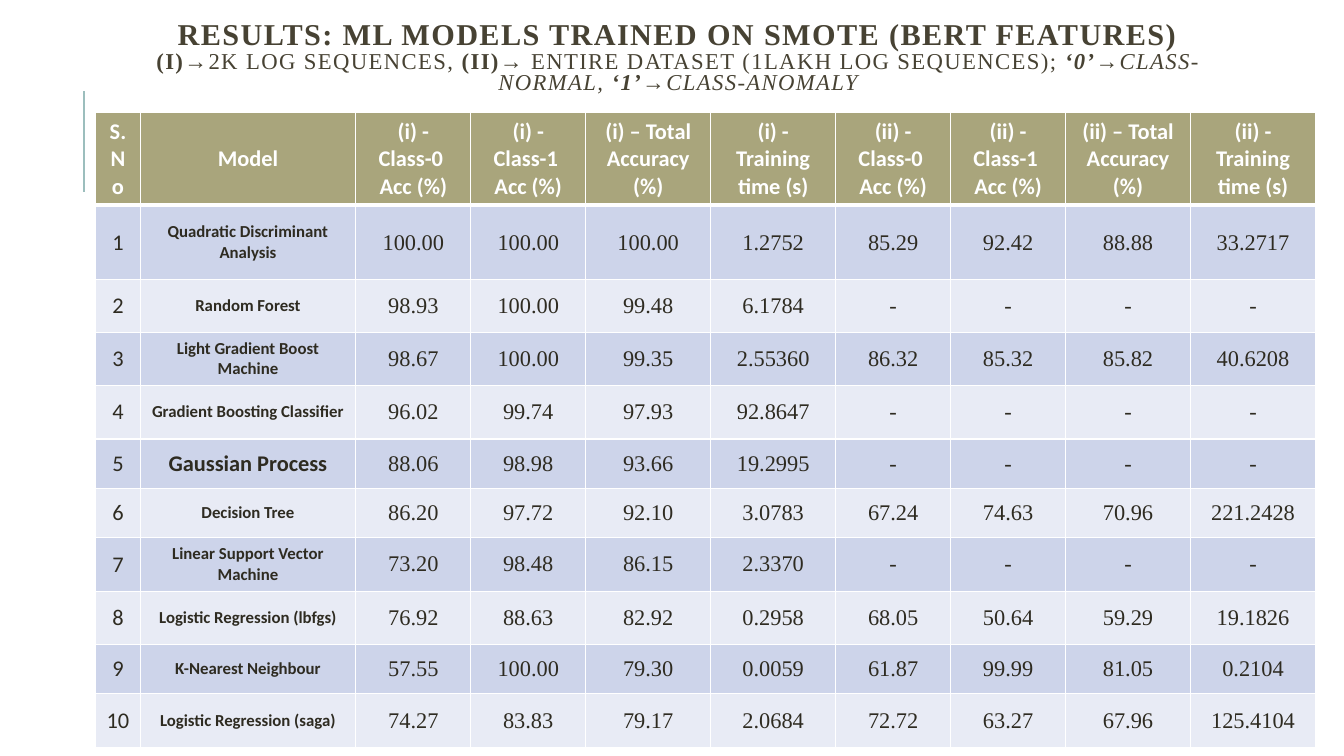
"""Builds the slide of results for models trained on SMOTE data."""
from dataclasses import dataclass
from typing import Any

from lxml.etree import SubElement
from pptx import Presentation
from pptx.dml.color import RGBColor
from pptx.enum.shapes import MSO_CONNECTOR
from pptx.enum.text import MSO_ANCHOR, MSO_AUTO_SIZE, PP_ALIGN
from pptx.oxml.ns import qn
from pptx.util import Inches, Pt

COLORS = {
    "title": "474233", "rule": "9CBEBD", "head": "A9A57C", "white": "FFFFFF",
    "body": "2E2B21", "odd": "CDD4EA", "even": "E8EBF5",
}
SERIF, SANS = "Times New Roman", "Calibri"


@dataclass
class TitleRun:
    """One run of the title and its emphasis."""
    text: str
    size: float = 16.2
    bold: bool = False
    italic: bool = False


@dataclass
class Style:
    """The font of a table cell."""
    name: str
    size: float
    bold: bool
    color: str = "body"


@dataclass
class Model:
    """One table row: a model and its eight results."""
    name: str
    results: str
    size: float = 12


TITLE = [
    TitleRun("RESULTS: ML MODELS TRAINED ON SMOTE (BERT FEATURES)\v", 21.6, True),
    TitleRun("(I)", bold=True),
    TitleRun("→2K LOG SEQUENCES, "),
    TitleRun("(II)", bold=True),
    TitleRun("→ ENTIRE DATASET (1LAKH LOG SEQUENCES); "),
    TitleRun("‘0’", bold=True, italic=True),
    TitleRun("→CLASS-NORMAL, ", italic=True),
    TitleRun("‘1’", bold=True, italic=True),
    TitleRun("→CLASS-ANOMALY", italic=True),
]
MEASURES = ["Class-0 \nAcc (%)", "Class-1 \nAcc (%)", "Total Accuracy (%)", "Training time (s)"]
HEADERS = ["S.No", "Model"] + [
    f"({part}) {'–' if m.startswith('Total') else '-'} {m}" for part in ("i", "ii") for m in MEASURES
]
MODELS = [
    Model("Quadratic Discriminant Analysis", "100.00 100.00 100.00 1.2752 85.29 92.42 88.88 33.2717"),
    Model("Random Forest", "98.93 100.00 99.48 6.1784 - - - -"),
    Model("Light Gradient Boost Machine", "98.67 100.00 99.35 2.55360 86.32 85.32 85.82 40.6208"),
    Model("Gradient Boosting Classifier", "96.02 99.74 97.93 92.8647 - - - -"),
    Model("Gaussian Process", "88.06 98.98 93.66 19.2995 - - - -", 16),
    Model("Decision Tree", "86.20 97.72 92.10 3.0783 67.24 74.63 70.96 221.2428"),
    Model("Linear Support Vector Machine", "73.20 98.48 86.15 2.3370 - - - -"),
    Model("Logistic Regression (lbfgs)", "76.92 88.63 82.92 0.2958 68.05 50.64 59.29 19.1826"),
    Model("K-Nearest Neighbour", "57.55 100.00 79.30 0.0059 61.87 99.99 81.05 0.2104"),
    Model("Logistic Regression (saga)", "74.27 83.83 79.17 2.0684 72.72 63.27 67.96 125.4104"),
]
COL_WIDTHS = [0.44, 2.14] + [1.14, 1.14, 1.24, 1.24] * 2
ROW_HEIGHTS = [0.89, 0.74, 0.52, 0.53, 0.53, 0.49, 0.49, 0.53, 0.53, 0.49, 0.53]


def rgb(key: str) -> RGBColor:
    """Returns a named colour."""
    return RGBColor.from_string(COLORS[key])


def set_font(font: Any, name: str, size: float, bold: bool, color: str, italic: bool = False) -> None:
    """Formats a font."""
    values = {"name": name, "size": Pt(size), "bold": bold, "italic": italic}
    for attr, value in values.items():
        setattr(font, attr, value)
    font.color.rgb = rgb(color)


def add_title(s: Any) -> None:
    """Places the title placeholder and fills it with its runs."""
    sp = s.shapes.title
    box = {"left": 1.04, "top": 0.07, "width": 11.25, "height": 1.03}
    for attr, value in box.items():
        setattr(sp, attr, Inches(value))
    tf = sp.text_frame
    frame = {"word_wrap": True, "auto_size": MSO_AUTO_SIZE.NONE, "vertical_anchor": MSO_ANCHOR.MIDDLE}
    for attr, value in frame.items():
        setattr(tf, attr, value)
    p = tf.paragraphs[0]
    p.alignment, p.line_spacing = PP_ALIGN.CENTER, 0.8
    pPr = p._p.get_or_add_pPr()
    pPr.set("marL", str(Inches(0.12)))
    pPr.set("indent", "0")
    for part in TITLE:
        r = p.add_run()
        r.text = part.text.rstrip("\v")
        set_font(r.font, SERIF, part.size, part.bold, "title", part.italic)
        r._r.get_or_add_rPr().set("spc", "100")
        if part.text.endswith("\v"):
            p.add_line_break()


def add_rule(s: Any) -> None:
    """Draws the vertical line left of the table."""
    line = s.shapes.add_connector(
        MSO_CONNECTOR.STRAIGHT, Inches(0.83), Inches(1.9), Inches(0.83), Inches(0.9))
    line.line.color.rgb, line.line.width = rgb("rule"), Pt(1.5)
    SubElement(line._element.spPr, qn("a:effectLst"))


def set_borders(cell: Any, top: float, bottom: float) -> None:
    """Gives a cell white borders."""
    tcPr = cell._tc.get_or_add_tcPr()
    for side, width in {"L": 1, "R": 1, "T": top, "B": bottom}.items():
        ln = SubElement(tcPr, qn(f"a:ln{side}"), w=str(Pt(width)))
        SubElement(SubElement(ln, qn("a:solidFill")), qn("a:srgbClr"), val=COLORS["white"])


def fill_cell(cell: Any, text: str, style: Style, fill: str) -> None:
    """Writes centred text into a cell and colours it."""
    cell.fill.solid()
    cell.fill.fore_color.rgb = rgb(fill)
    cell.vertical_anchor = MSO_ANCHOR.MIDDLE
    cell.text = text
    for p in cell.text_frame.paragraphs:
        p.alignment = PP_ALIGN.CENTER
        for r in p.runs:
            set_font(r.font, style.name, style.size, style.bold, style.color)


def add_results(s: Any) -> None:
    """Builds the table of results."""
    table = s.shapes.add_table(
        len(ROW_HEIGHTS), len(COL_WIDTHS), Inches(0.95), Inches(1.12),
        Inches(sum(COL_WIDTHS)), Inches(sum(ROW_HEIGHTS))).table
    table.horz_banding = False
    for column, width in zip(table.columns, COL_WIDTHS):
        column.width = Inches(width)
    for row, height in zip(table.rows, ROW_HEIGHTS):
        row.height = Inches(height)
    head, number, value = Style(SANS, 16, True, "white"), Style(SANS, 16, False), Style(SERIF, 16, False)
    rows = [(HEADERS, [head] * len(HEADERS), "head")]
    for i, model in enumerate(MODELS, 1):
        results = model.results.split()
        styles = [number, Style(SANS, model.size, True)] + [value] * len(results)
        rows.append(([str(i), model.name, *results], styles, "odd" if i % 2 else "even"))
    for i, (texts, styles, fill) in enumerate(rows):
        for j, (text, style) in enumerate(zip(texts, styles)):
            cell = table.cell(i, j)
            set_borders(cell, 3 if i == 1 else 1, 3 if i == 0 else 1)
            fill_cell(cell, text, style, fill)


def main() -> None:
    """Builds and saves the presentation."""
    prs = Presentation()
    prs.slide_width, prs.slide_height = Inches(13.33), Inches(7.5)
    s = prs.slides.add_slide(prs.slide_layouts[5])
    add_rule(s)
    add_title(s)
    add_results(s)
    prs.save("out.pptx")


if __name__ == "__main__":
    main()
